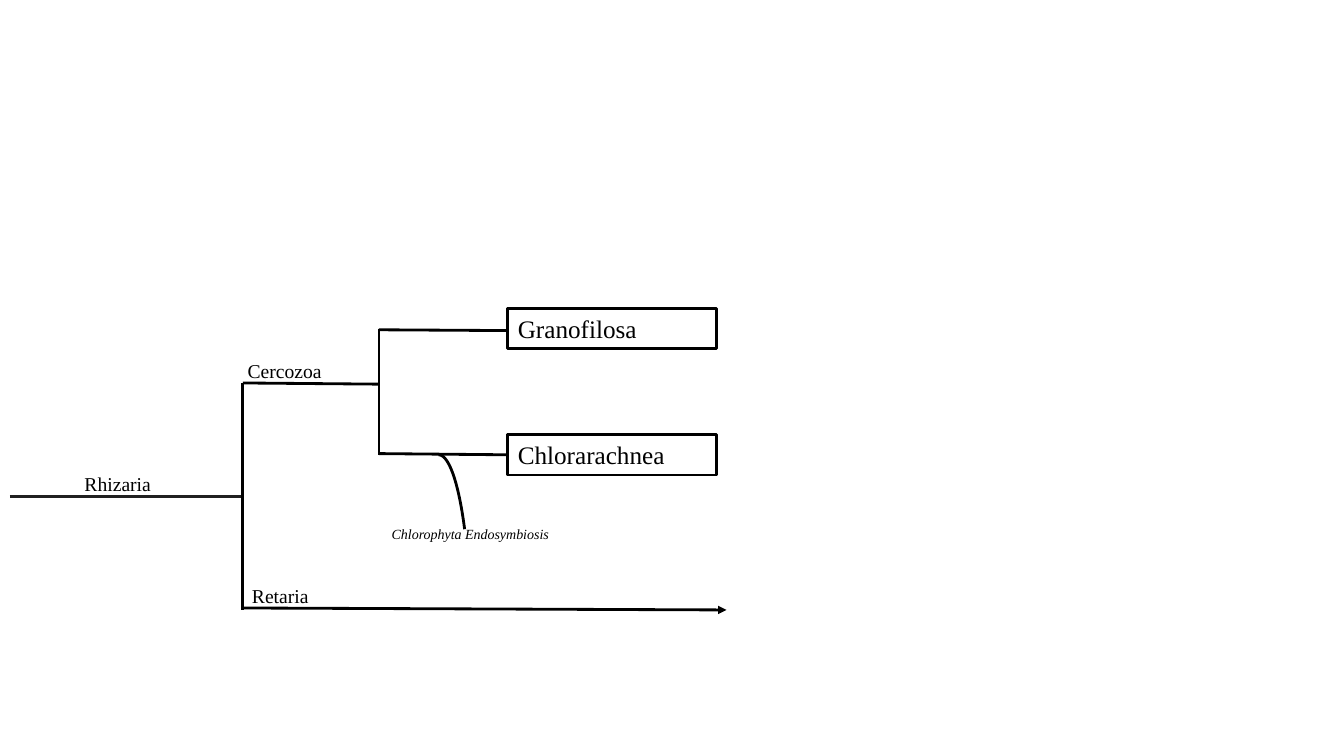
from dataclasses import dataclass

from lxml.etree import SubElement
from pptx import Presentation
from pptx.dml.color import RGBColor
from pptx.enum.shapes import MSO_CONNECTOR, MSO_SHAPE
from pptx.enum.text import MSO_ANCHOR, MSO_AUTO_SIZE, PP_ALIGN
from pptx.oxml.ns import qn
from pptx.util import Cm, Pt


@dataclass(frozen=True)
class Theme:
    ink: RGBColor = RGBColor(0, 0, 0)
    root: RGBColor = RGBColor(0x20, 0x20, 0x20)
    font: str = "Times New Roman"
    line: Pt = Pt(2)
    taxon: Pt = Pt(18)
    clade: Pt = Pt(14)
    note: Pt = Pt(10)


THEME = Theme()
LABEL_WIDTH = 5.26
ROOT_X, TRUNK_X, FORK_X, TAXON_X, ARROW_X = 0.25, 6.12, 9.55, 12.8, 18.31
BRANCH_END_X = 12.78

BRANCHES = [
    (TRUNK_X, 12.52, TRUNK_X, 9.65),
    (TRUNK_X, 15.37, TRUNK_X, 12.5),
    (TRUNK_X, 9.65, FORK_X, 9.68),
    (FORK_X, 10.01, FORK_X, 8.28),
    (FORK_X, 11.46, FORK_X, 9.96),
    (FORK_X, 8.31, BRANCH_END_X, 8.33),
    (FORK_X, 11.43, BRANCH_END_X, 11.46),
]
CLADES = [
    ("Rhizaria", 1.88, 11.76),
    ("Retaria", 6.1, 14.6),
    ("Cercozoa", 5.99, 8.92),
]
TAXA = [("Granofilosa", 7.77), ("Chlorarachnea", 10.95)]


def style_line(line, color=THEME.ink):
    line.color.rgb = color
    line.width = THEME.line


def add_branch(slide, start_x, start_y, end_x, end_y, color=THEME.ink, arrow=False):
    branch = slide.shapes.add_connector(
        MSO_CONNECTOR.STRAIGHT, Cm(start_x), Cm(start_y), Cm(end_x), Cm(end_y)
    )
    style_line(branch.line, color)
    if arrow:
        SubElement(branch.line._get_or_add_ln(), qn("a:tailEnd"), type="triangle")
    SubElement(branch._element.spPr, qn("a:effectLst"))


def write_text(shape, text, size, alignment=PP_ALIGN.LEFT, italic=False):
    frame = shape.text_frame
    frame.word_wrap = True
    frame.auto_size = MSO_AUTO_SIZE.SHAPE_TO_FIT_TEXT
    frame.vertical_anchor = MSO_ANCHOR.TOP
    paragraph = frame.paragraphs[0]
    paragraph.text = text
    paragraph.alignment = alignment
    paragraph.font.name = THEME.font
    paragraph.font.size = size
    paragraph.font.italic = italic
    paragraph.font.color.rgb = THEME.ink


def add_label(slide, text, left, top, height, size, **style):
    label = slide.shapes.add_textbox(Cm(left), Cm(top), Cm(LABEL_WIDTH), Cm(height))
    write_text(label, text, size, **style)


def add_outline(slide, kind, left, top, width, height):
    shape = slide.shapes.add_shape(kind, Cm(left), Cm(top), Cm(width), Cm(height))
    shape.shadow.inherit = False
    shape.fill.background()
    style_line(shape.line)
    return shape


def add_taxon(slide, text, top):
    box = add_outline(slide, MSO_SHAPE.RECTANGLE, TAXON_X, top, LABEL_WIDTH, 1.02)
    write_text(box, text, THEME.taxon)


def add_endosymbiosis(slide):
    curve = add_outline(slide, MSO_SHAPE.ARC, 10.24, 11.46, 1.63, 9.22)
    curve.adjustments[0] = 162
    curve.adjustments[1] = 170.1
    add_label(slide, "Chlorophyta Endosymbiosis", 9.22, 13.11, 0.69, THEME.note,
              alignment=PP_ALIGN.CENTER, italic=True)


def main():
    presentation = Presentation()
    presentation.slide_width = Cm(33.87)
    presentation.slide_height = Cm(19.05)
    slide = presentation.slides.add_slide(presentation.slide_layouts[6])

    add_branch(slide, ROOT_X, 12.52, TRUNK_X, 12.52, color=THEME.root)
    for branch in BRANCHES:
        add_branch(slide, *branch)
    add_branch(slide, TRUNK_X, 15.32, ARROW_X, 15.37, arrow=True)
    for text, left, top in CLADES:
        add_label(slide, text, left, top, 0.86, THEME.clade)
    for text, top in TAXA:
        add_taxon(slide, text, top)
    add_endosymbiosis(slide)

    presentation.save("out.pptx")


if __name__ == "__main__":
    main()
